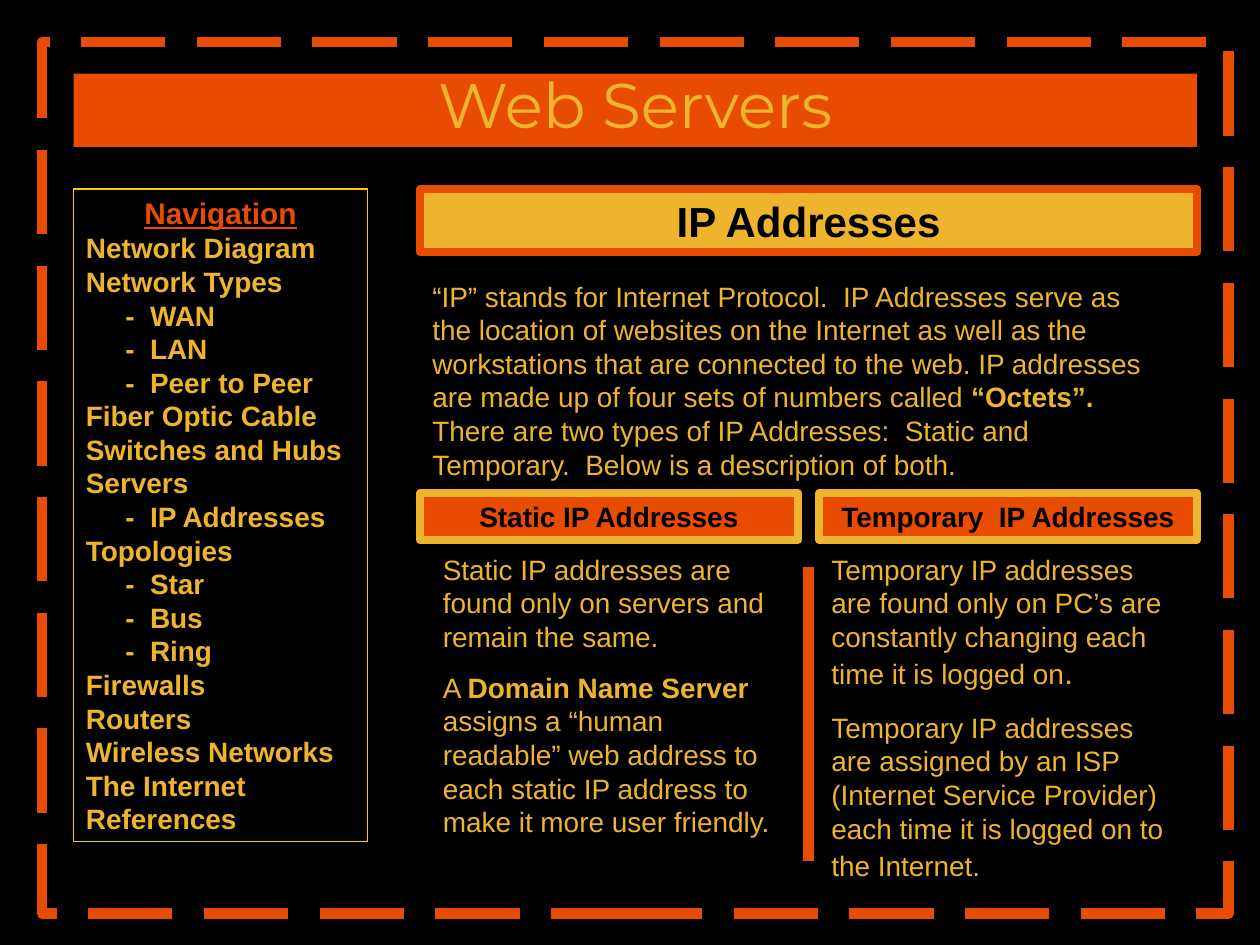
"""Build the Web Servers slide about static and temporary IP addresses."""
from dataclasses import dataclass

from lxml.etree import SubElement
from pptx import Presentation
from pptx.dml.color import RGBColor
from pptx.enum.dml import MSO_LINE
from pptx.enum.shapes import MSO_CONNECTOR, MSO_SHAPE
from pptx.enum.text import MSO_ANCHOR, MSO_AUTO_SIZE, PP_ALIGN
from pptx.oxml.ns import qn
from pptx.util import Pt

COLORS = {"black": "000000", "orange": "E84B02", "gold": "EEB42D", "yellow": "FFCC00"}


@dataclass
class Box:
    left: float
    top: float
    width: float
    height: float

    def lengths(self) -> tuple:
        return Pt(self.left), Pt(self.top), Pt(self.width), Pt(self.height)


@dataclass
class Run:
    text: str
    bold: bool = False
    size: float = 16


@dataclass
class Heading:
    box: Box
    text: str
    fill: str
    outline: str
    size: float = 16


@dataclass
class Passage:
    box: Box
    paragraphs: list
    gap: float = 10


def rgb(name: str) -> RGBColor:
    return RGBColor.from_string(COLORS[name])


def write(paragraph, text: str, *, size: float = 16, color: str = "gold", bold: bool = False,
          underline: bool = False, font: str = "Arial") -> None:
    run = paragraph.add_run()
    run.text = text
    run.font.name = font
    run.font.size = Pt(size)
    run.font.bold = bold
    run.font.underline = underline
    run.font.color.rgb = rgb(color)


def prepare(frame, anchor=MSO_ANCHOR.TOP):
    frame.word_wrap = True
    frame.auto_size = MSO_AUTO_SIZE.NONE
    frame.vertical_anchor = anchor
    return frame


def next_paragraph(frame, index: int):
    return frame.add_paragraph() if index else frame.paragraphs[0]


def add_panel(slide, box: Box, outline: str, weight: float, fill: str = ""):
    panel = slide.shapes.add_shape(MSO_SHAPE.RECTANGLE, *box.lengths())
    panel.shadow.inherit = False
    if fill:
        panel.fill.solid()
        panel.fill.fore_color.rgb = rgb(fill)
    else:
        panel.fill.background()
    panel.line.color.rgb = rgb(outline)
    panel.line.width = Pt(weight)
    return panel


def add_title(slide, box: Box, text: str) -> None:
    title = slide.shapes.title
    title.left, title.top, title.width, title.height = box.lengths()
    title.fill.solid()
    title.fill.fore_color.rgb = rgb("orange")
    paragraph = prepare(title.text_frame, MSO_ANCHOR.MIDDLE).paragraphs[0]
    paragraph.alignment = PP_ALIGN.CENTER
    paragraph.line_spacing = 0.8
    write(paragraph, text, size=36, font="Montserrat")


def add_heading(slide, heading: Heading) -> None:
    panel = add_panel(slide, heading.box, heading.outline, 4.5, heading.fill)
    paragraph = prepare(panel.text_frame).paragraphs[0]
    paragraph.alignment = PP_ALIGN.CENTER
    write(paragraph, heading.text, size=heading.size, color="black", bold=True)


def add_passage(slide, passage: Passage) -> None:
    frame = prepare(slide.shapes.add_textbox(*passage.box.lengths()).text_frame)
    for index, runs in enumerate(passage.paragraphs):
        paragraph = next_paragraph(frame, index)
        if index:
            paragraph.space_before = Pt(passage.gap)
        for run in runs:
            write(paragraph, run.text, size=run.size, bold=run.bold)


def add_divider(slide, x: float, top: float, bottom: float) -> None:
    divider = slide.shapes.add_connector(MSO_CONNECTOR.STRAIGHT, Pt(x), Pt(top), Pt(x), Pt(bottom))
    divider.line.color.rgb = rgb("orange")
    divider.line.width = Pt(6)
    SubElement(divider.element.spPr, qn("a:effectLst"))


def add_navigation(slide, box: Box, entries: list) -> None:
    frame = prepare(add_panel(slide, box, "yellow", 0.75).text_frame)
    caption = frame.paragraphs[0]
    caption.alignment = PP_ALIGN.CENTER
    write(caption, "Navigation", size=17, color="orange", bold=True, underline=True)
    for entry in entries:
        paragraph = frame.add_paragraph()
        tabs = SubElement(paragraph._p.get_or_add_pPr(), qn("a:tabLst"))
        SubElement(tabs, qn("a:tab"), pos=str(Pt(22.5)), algn="l")
        paragraph.alignment = PP_ALIGN.LEFT
        write(paragraph, f"\t{entry}" if entry.startswith("-") else entry, bold=True)


HEADINGS = [
    Heading(Box(240, 108, 444, 36), "IP Addresses", "gold", "orange", 24),
    Heading(Box(240, 282, 216, 26.6), "Static IP Addresses", "orange", "gold"),
    Heading(Box(468, 282, 216, 26.6), "Temporary  IP Addresses", "orange", "gold"),
]

PASSAGES = [
    Passage(Box(240, 156, 426, 122.4), [[
        Run("“IP” stands for Internet Protocol.  IP Addresses serve as the location of websites "
            "on the Internet as well as the workstations that are connected to the web. "
            "IP addresses are made up of four sets of numbers called "),
        Run("“Octets”. ", bold=True),
        Run("There are two types of IP Addresses:  Static and Temporary.  "
            "Below is a description of both."),
    ]]),
    Passage(Box(246, 312, 210, 170.6), [
        [Run("Static IP addresses are found only on servers and remain the same.")],
        [Run("A "), Run("Domain Name Server", bold=True),
         Run(" assigns a “human readable” web address to each static IP address "
             "to make it more user friendly.")],
    ]),
    Passage(Box(468, 312, 210, 196), [
        [Run("Temporary IP addresses are found only on PC’s are constantly changing "
             "each time it is logged on"), Run(".", size=18)],
        [Run("Temporary IP addresses are assigned by an ISP (Internet Service Provider) "
             "each time it is logged on to the Internet."), Run(" ", size=18)],
    ], gap=11.2),
]

NAVIGATION = [
    "Network Diagram", "Network Types", "-  WAN", "-  LAN", "-  Peer to Peer",
    "Fiber Optic Cable", "Switches and Hubs", "Servers", "-  IP Addresses",
    "Topologies", "-  Star", "-  Bus", "-  Ring", "Firewalls", "Routers",
    "Wireless Networks", "The Internet", "References",
]


def main() -> None:
    deck = Presentation()
    deck.slide_width, deck.slide_height = Pt(720), Pt(540)
    slide = deck.slides.add_slide(deck.slide_layouts[5])
    slide.background.fill.solid()
    slide.background.fill.fore_color.rgb = rgb("black")
    border = add_panel(slide, Box(24, 24, 678, 498), "orange", 6)
    border.line.dash_style = MSO_LINE.LONG_DASH
    add_title(slide, Box(42, 42, 642, 42), "Web Servers")
    for heading in HEADINGS:
        add_heading(slide, heading)
    add_divider(slide, 462, 324, 492)
    for passage in PASSAGES:
        add_passage(slide, passage)
    add_navigation(slide, Box(42, 108, 168, 373), NAVIGATION)
    deck.save("out.pptx")


if __name__ == "__main__":
    main()
